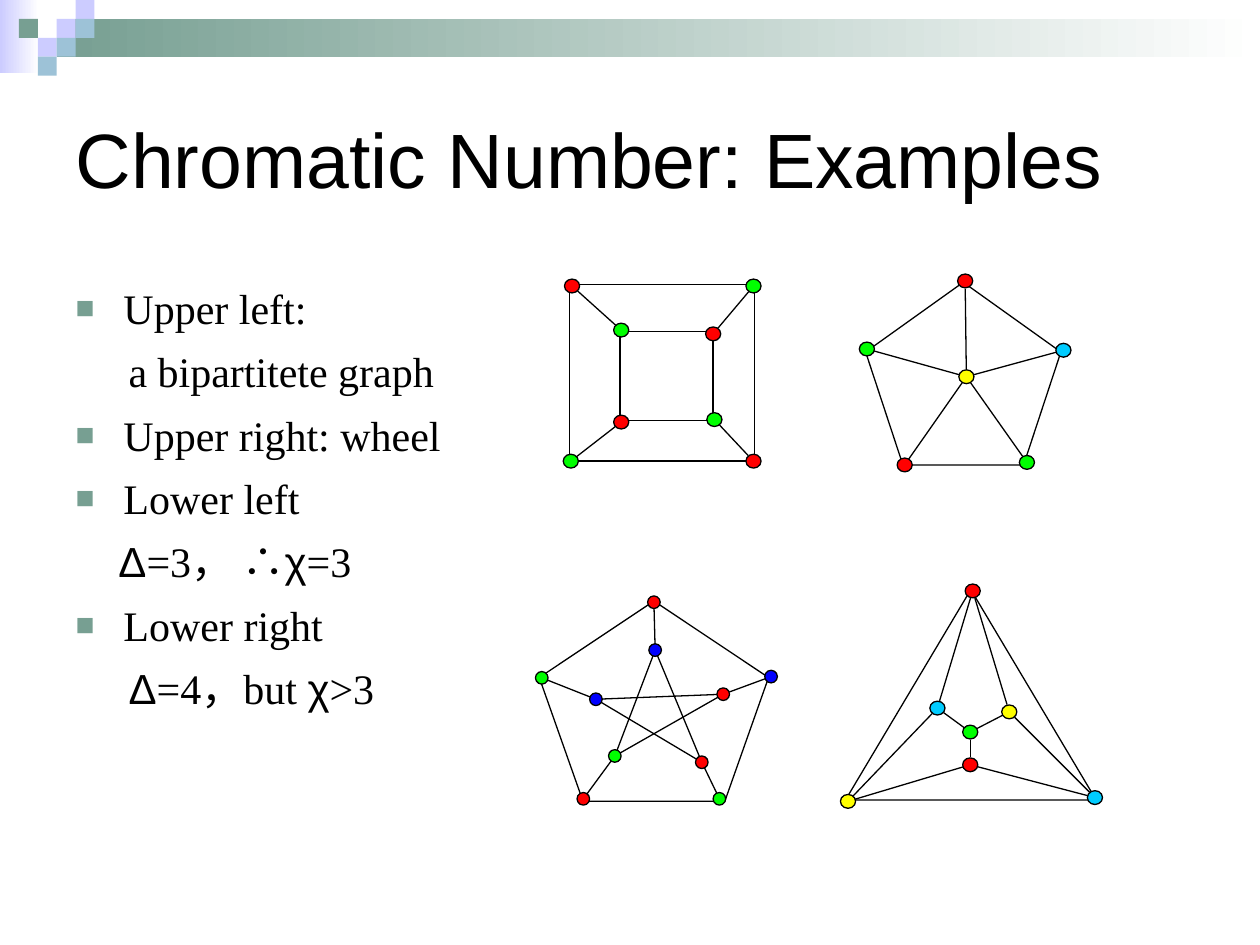
"""Build a slide of four coloured graphs with notes on their chromatic numbers."""
from math import hypot

from lxml import etree
from pptx import Presentation, util as u
from pptx.dml.color import RGBColor
from pptx.enum import shapes as es, text as et
from pptx.oxml.ns import qn

BLACK = RGBColor(0, 0, 0)
WHITE = RGBColor(255, 255, 255)
RED = RGBColor(255, 0, 0)
GREEN = RGBColor(0, 255, 0)
BLUE = RGBColor(0, 0, 255)
SKY = RGBColor(0, 204, 255)
GOLD = RGBColor(255, 255, 0)
LILAC = RGBColor(204, 204, 255)
SAGE = RGBColor(119, 159, 146)
STEEL = RGBColor(157, 194, 215)
SANS, SERIF = "Arial", "Times New Roman"
KIND = es.MSO_SHAPE

TITLE = "Chromatic Number: Examples"
NOTES = [
    (True, 0.38, ["Upper left:"]),
    (False, 0.42, ["a bipartitete graph"]),
    (True, 0.38, ["Upper right: wheel"]),
    (True, 0.38, ["Lower left"]),
    (False, 0.34, ["Δ", "=3，", " ∴χ", "=3"]),
    (True, 0.38, ["Lower right"]),
    (False, 0.42, ["Δ", "=4，but ", "χ", ">3"]),
]
BANDS = [((0, 0, 0.31, 0.58), LILAC), ((0.45, 0.15, 9.55, 0.3), SAGE)]
TILE = 0.15
TILES = [(3, 1, LILAC), (4, 0, LILAC), (4, 1, STEEL), (2, 2, LILAC),
         (1, 1, SAGE), (3, 2, STEEL), (2, 3, STEEL)]

GRAPHS = [
    {"frames": [(KIND.RECTANGLE, (4.52, 2.26, 1.47, 1.4)),
                (KIND.RECTANGLE, (4.92, 2.63, 0.74, 0.71))],
     "size": (0.12, 0.11),
     "nodes": [(4.54, 2.27, RED), (5.98, 2.27, GREEN), (5.98, 3.66, RED),
               (4.53, 3.66, GREEN), (4.93, 2.62, GREEN), (5.66, 2.65, RED),
               (5.67, 3.33, GREEN), (4.93, 3.35, RED)],
     "edges": [(i, i + 4) for i in range(4)]},
    {"frames": [(KIND.REGULAR_PENTAGON, (6.87, 2.24, 1.55, 1.45))],
     "size": (0.12, 0.11),
     "nodes": [(7.66, 2.23, RED), (8.44, 2.78, SKY), (8.15, 3.67, GREEN),
               (7.18, 3.69, RED), (6.88, 2.77, GREEN), (7.67, 2.99, GOLD)],
     "edges": [(i, 5) for i in range(5)]},
    {"frames": [(KIND.REGULAR_PENTAGON, (4.28, 4.77, 1.82, 1.59))],
     "size": (0.1, 0.1),
     "nodes": [(5.19, 4.78, RED), (6.12, 5.37, BLUE), (5.71, 6.34, GREEN),
               (4.63, 6.34, RED), (4.3, 5.38, GREEN), (5.2, 5.16, BLUE),
               (5.74, 5.51, RED), (5.57, 6.05, RED), (4.88, 6, GREEN),
               (4.73, 5.55, BLUE)],
     "edges": [(i, i + 5) for i in range(5)]
     + [(i + 5, (i + 2) % 5 + 5) for i in range(5)]},
    {"frames": [(KIND.ISOSCELES_TRIANGLE, (6.71, 4.68, 1.99, 1.67))],
     "size": (0.12, 0.11),
     "nodes": [(7.72, 4.69, RED), (6.73, 6.36, GOLD), (8.69, 6.33, SKY),
               (7.44, 5.62, SKY), (8.01, 5.65, GOLD), (7.7, 6.07, RED),
               (7.7, 5.81, GREEN)],
     "edges": [(0, 3), (0, 4), (1, 3), (1, 5), (2, 4), (2, 5),
               (3, 6), (4, 6), (5, 6)]},
]


def place(shape, box):
    shape.left, shape.top, shape.width, shape.height = map(u.Inches, box)


def draw(slide, kind, box, fill, line=None):
    shape = slide.shapes.add_shape(kind, *map(u.Inches, box))
    shape.shadow.inherit = False
    shape.fill.solid()
    shape.fill.fore_color.rgb = fill
    if line is None:
        shape.line.fill.background()
    else:
        shape.line.color.rgb = line
        shape.line.width = u.Pt(0.75)
    return shape


def join(slide, start, end, gap):
    (x, y), (z, w) = start[:2], end[:2]
    size = hypot(z - x, w - y)
    dx, dy = gap * (z - x) / size, gap * (w - y) / size
    ends = x + dx, y + dy, z - dx, w - dy
    line = slide.shapes.add_connector(es.MSO_CONNECTOR.STRAIGHT, *map(u.Inches, ends))
    line.line.color.rgb = BLACK
    line.line.width = u.Pt(0.75)
    etree.SubElement(line._element.spPr, qn("a:effectLst"))


def plot(slide, graph):
    wide, high = graph["size"]
    nodes = graph["nodes"]
    for kind, box in graph["frames"]:
        draw(slide, kind, box, WHITE, BLACK)
    for a, b in graph["edges"]:
        join(slide, nodes[a], nodes[b], wide / 2)
    for x, y, hue in nodes:
        draw(slide, KIND.OVAL, (x - wide / 2, y - high / 2, wide, high), hue, BLACK)


def style(run, font, size):
    run.font.name = font
    run.font.size = u.Pt(size)
    run.font.color.rgb = BLACK


def mark(para, shown, left):
    props = para._p.get_or_add_pPr()
    props.set("marL", str(u.Inches(left)))
    props.set("indent", str(u.Inches(-left if shown else 0)))
    if not shown:
        etree.SubElement(props, qn("a:buNone"))
        return
    hue = etree.SubElement(props, qn("a:buClr"))
    etree.SubElement(hue, qn("a:srgbClr"), val=str(SAGE))
    etree.SubElement(props, qn("a:buSzPct"), val="75000")
    etree.SubElement(props, qn("a:buFont"), typeface=SANS)
    etree.SubElement(props, qn("a:buChar"), char="■")


def write(slide):
    title, body = slide.placeholders
    place(title, (0.5, 0.5, 9, 1.5))
    title.text_frame.text = TITLE
    title.text_frame.vertical_anchor = et.MSO_ANCHOR.MIDDLE
    para = title.text_frame.paragraphs[0]
    para.alignment = et.PP_ALIGN.LEFT
    style(para.runs[0], SANS, 44)

    place(body, (0.5, 2.17, 9, 4.25))
    frame = body.text_frame
    frame.auto_size = et.MSO_AUTO_SIZE.NONE
    for i, (shown, left, parts) in enumerate(NOTES):
        para = frame.add_paragraph() if i else frame.paragraphs[0]
        para.line_spacing = 1.05
        para.space_before = u.Pt(6)
        mark(para, shown, left)
        for part in parts:
            run = para.add_run()
            run.text = part
            style(run, SANS if set(part) & set("Δχ") else SERIF, 24)


def main():
    deck = Presentation()
    deck.slide_width, deck.slide_height = u.Inches(10), u.Inches(7.5)
    slide = deck.slides.add_slide(deck.slide_layouts[1])
    for box, hue in BANDS:
        band = draw(slide, KIND.RECTANGLE, box, hue)
        band.fill.gradient()
        band.fill.gradient_angle = 180
        for stop, tint in zip(band.fill.gradient_stops, (WHITE, hue)):
            stop.color.rgb = tint
    for col, row, hue in TILES:
        draw(slide, KIND.RECTANGLE, (col * TILE, row * TILE, TILE, TILE), hue)
    write(slide)
    for graph in GRAPHS:
        plot(slide, graph)
    deck.save("out.pptx")


if __name__ == "__main__":
    main()
